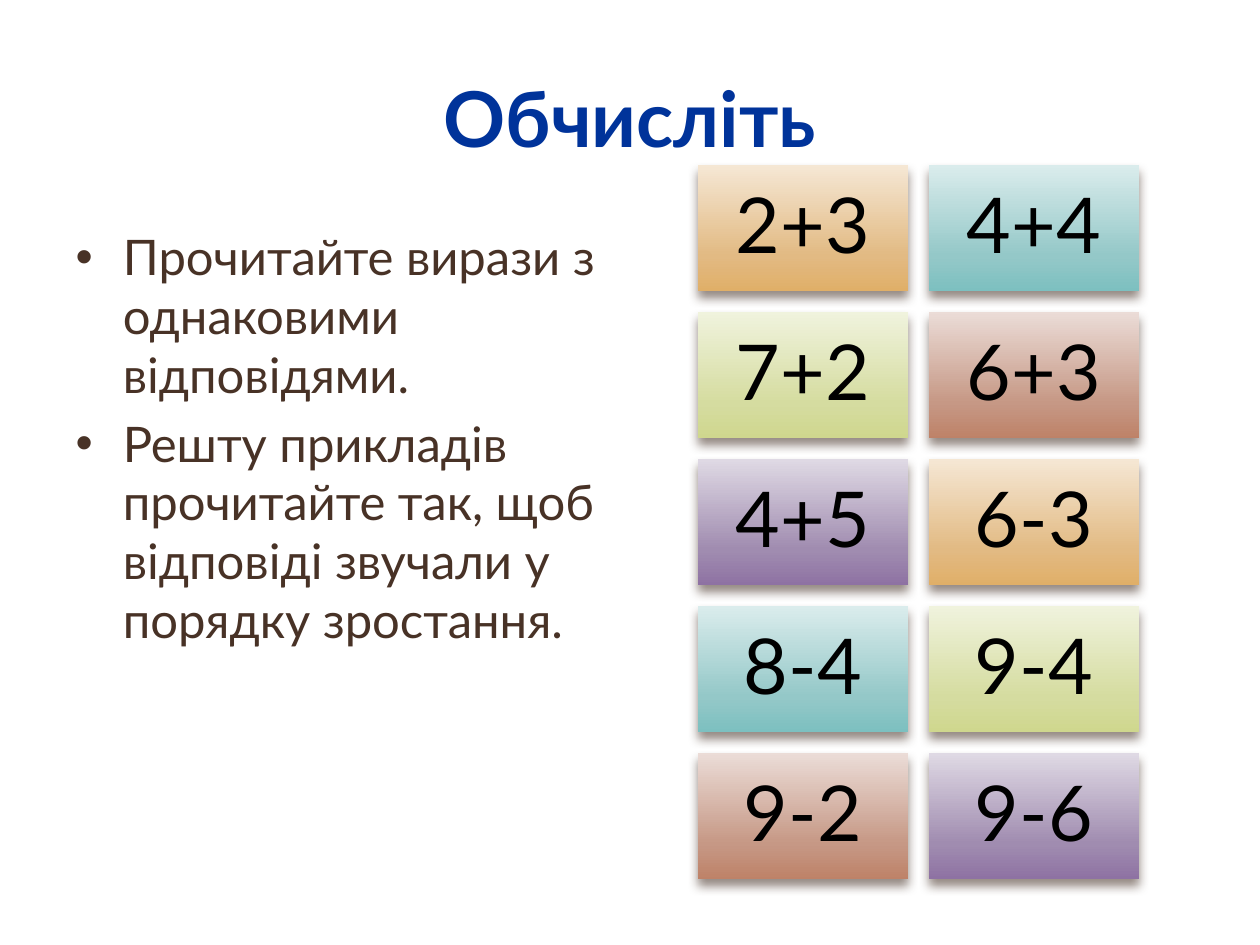
import copy

import pptx
import pptx.dml.color
import pptx.enum.shapes
import pptx.enum.text
import pptx.oxml
import pptx.oxml.ns
import pptx.util

Pt = pptx.util.Pt
DRAWING = pptx.oxml.ns.nsdecls("a")

# Content
TITLE = "Обчисліть"
TASKS = [
    "Прочитайте вирази з однаковими відповідями.",
    "Решту прикладів прочитайте так, щоб відповіді звучали у порядку зростання.",
]
EXPRESSIONS = ["2+3", "4+4", "7+2", "6+3", "4+5", "6-3", "8-4", "9-4", "9-2", "9-6"]

# Style
FONT = "Lato"
COLORS = {
    "title": "00339A",
    "outline": "F2F2F2",
    "body": "483226",
    "card_text": "000000",
    "shadow": "4E3B30",
}
GRADIENTS = {
    "orange": ["F5E7D4", "E2BA83", "E0AF68"],
    "teal": ["DAECEC", "94C8C8", "7DC0C0"],
    "green": ["F0F3DD", "D5DCA0", "CFD78E"],
    "brown": ["EBDCD7", "C69885", "BE8268"],
    "purple": ["DFD9E4", "A08CB0", "8E72A3"],
}
STOPS = [0, 0.72, 1]

# Card grid, in points
COLUMNS = 2
GRID_LEFT, GRID_TOP = 398.8, 94.4
CARD_WIDTH, CARD_HEIGHT = 120, 72
GAP = 12
CARD_INSET = 13.2


def rgb(value):
    return pptx.dml.color.RGBColor.from_string(value)


def place(shape, left, top, width, height):
    shape.left, shape.top = Pt(left), Pt(top)
    shape.width, shape.height = Pt(width), Pt(height)


def add_span(para, text, size, color, bold=False):
    span = para.add_run()
    span.text = text
    span.font.name = FONT
    span.font.size = Pt(size)
    span.font.bold = bold
    span.font.color.rgb = rgb(color)
    return span


def fill_gradient(shape, colors):
    shape.fill.gradient()
    shape.fill.gradient_angle = 270
    stop_list = shape._element.spPr.find(".//" + pptx.oxml.ns.qn("a:gsLst"))
    stop_list.insert(1, copy.deepcopy(stop_list[0]))
    for stop, position, color in zip(shape.fill.gradient_stops, STOPS, colors):
        stop.position = position
        stop.color.rgb = rgb(color)


def add_shadow(shape):
    shape.shadow.inherit = False
    effects = shape._element.spPr.find(pptx.oxml.ns.qn("a:effectLst"))
    effects.append(pptx.oxml.parse_xml(
        f'<a:outerShdw {DRAWING} blurRad="{Pt(6)}" dist="{Pt(4)}" dir="5400000" rotWithShape="0">'
        f'<a:srgbClr val="{COLORS["shadow"]}"><a:alpha val="60000"/></a:srgbClr></a:outerShdw>'
    ))


def add_card(page, index, text):
    row, column = divmod(index, COLUMNS)
    card = page.shapes.add_shape(pptx.enum.shapes.MSO_SHAPE.RECTANGLE, 0, 0, 0, 0)
    place(card, GRID_LEFT + column * (CARD_WIDTH + GAP),
          GRID_TOP + row * (CARD_HEIGHT + GAP), CARD_WIDTH, CARD_HEIGHT)
    palette = list(GRADIENTS.values())
    fill_gradient(card, palette[index % len(palette)])
    card.line.fill.background()
    add_shadow(card)

    frame = card.text_frame
    frame.word_wrap = True
    frame.vertical_anchor = pptx.enum.text.MSO_ANCHOR.MIDDLE
    frame.margin_left = frame.margin_right = Pt(CARD_INSET)
    frame.margin_top = frame.margin_bottom = Pt(CARD_INSET)
    para = frame.paragraphs[0]
    para.alignment = pptx.enum.text.PP_ALIGN.CENTER
    para.line_spacing = 0.9
    add_span(para, text, 44, COLORS["card_text"])


def main():
    deck = pptx.Presentation()
    deck.slide_width, deck.slide_height = Pt(720), Pt(540)
    page = deck.slides.add_slide(deck.slide_layouts[1])

    # Title
    title = page.shapes.title
    place(title, 36, 21.6, 648, 90)
    para = title.text_frame.paragraphs[0]
    para.alignment = pptx.enum.text.PP_ALIGN.CENTER
    span = add_span(para, TITLE, 44, COLORS["title"], bold=True)
    span.font._element.insert(0, pptx.oxml.parse_xml(
        f'<a:ln {DRAWING} w="{Pt(0.15)}"><a:solidFill>'
        f'<a:srgbClr val="{COLORS["outline"]}"/></a:solidFill></a:ln>'
    ))

    # Task list
    body = page.placeholders[1]
    place(body, 36, 126, 329.8, 356.4)
    frame = body.text_frame
    frame.auto_size = pptx.enum.text.MSO_AUTO_SIZE.NONE
    for index, task in enumerate(TASKS):
        para = frame.add_paragraph() if index else frame.paragraphs[0]
        para.space_before = Pt(5.6 if index else 0)
        add_span(para, task, 28, COLORS["body"])

    # Expression cards
    for index, expression in enumerate(EXPRESSIONS):
        add_card(page, index, expression)

    deck.save("out.pptx")


if __name__ == "__main__":
    main()
